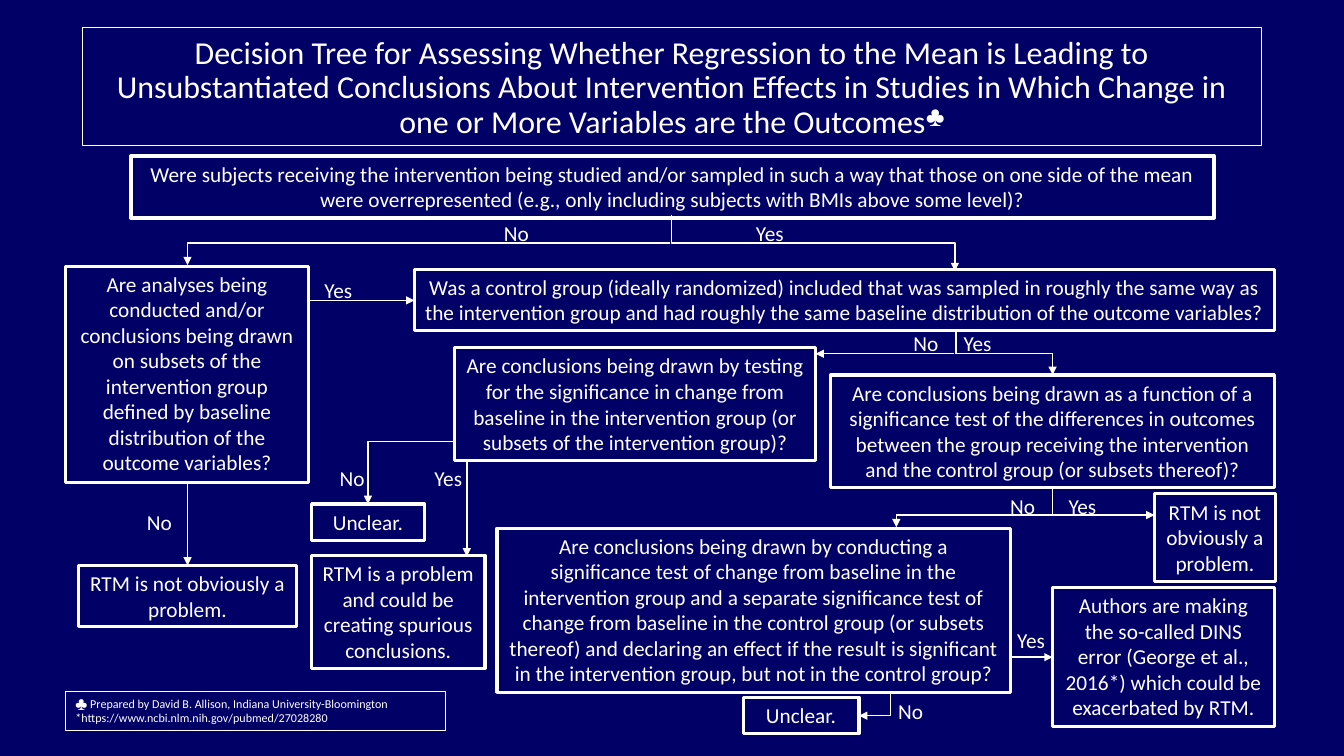
"""Build the decision tree slide on regression to the mean."""
from dataclasses import dataclass

from lxml.etree import SubElement
from pptx import Presentation
from pptx.dml.color import RGBColor
from pptx.enum.shapes import MSO_CONNECTOR as Link, MSO_SHAPE as Shape
from pptx.enum.text import MSO_ANCHOR as Anchor, MSO_AUTO_SIZE as AutoSize, PP_ALIGN as Align
from pptx.oxml.ns import qn
from pptx.util import Inches, Pt


@dataclass(frozen=True)
class Theme:
    navy: RGBColor = RGBColor(0x00, 0x00, 0x66)
    white: RGBColor = RGBColor(0xFF, 0xFF, 0xFF)
    font: str = "Calibri"
    title_size: float = 22.8
    body_size: float = 15.2
    note_size: float = 8.6
    thin: float = 0.75
    arrow: float = 1
    border: float = 2.25
    root_border: float = 3


THEME = Theme()


@dataclass(frozen=True)
class Box:
    left: float
    top: float
    width: float
    height: float
    text: str
    border: float = THEME.border
    size: float = THEME.body_size
    align: Align = Align.CENTER


@dataclass(frozen=True)
class Label:
    left: float
    top: float
    text: str


@dataclass(frozen=True)
class Arrow:
    start: tuple[float, float]
    end: tuple[float, float]
    preset: str = "line"
    down_first: bool = False
    weight: float = THEME.arrow
    head: bool = True


TITLE = ("Decision Tree for Assessing Whether Regression to the Mean is Leading to "
         "Unsubstantiated Conclusions About Intervention Effects in Studies in Which "
         "Change in one or More Variables are the Outcomes")
NOT_A_PROBLEM = "RTM is not obviously a problem."

BOXES = [
    Box(1.3, 1.55, 10.74, 0.61,
        "Were subjects receiving the intervention being studied and/or sampled in such a way "
        "that those on one side of the mean were overrepresented (e.g., only including "
        "subjects with BMIs above some level)?", THEME.root_border),
    Box(4.11, 2.67, 8.53, 0.61,
        "Was a control group (ideally randomized) included that was sampled in roughly the "
        "same way as the intervention group and had roughly the same baseline distribution "
        "of the outcome variables?"),
    Box(8.24, 3.72, 4.4, 1.12,
        "Are conclusions being drawn as a function of a significance test of the differences "
        "in outcomes between the group receiving the intervention and the control group "
        "(or subsets thereof)?"),
    Box(11.45, 4.9, 1.2, 0.87, NOT_A_PROBLEM),
    Box(4.93, 5.24, 5.09, 1.63,
        "Are conclusions being drawn by conducting a significance test of change from "
        "baseline in the intervention group and a separate significance test of change from "
        "baseline in the control group (or subsets thereof) and declaring an effect if the "
        "result is significant in the intervention group, but not in the control group?"),
    Box(10.44, 5.83, 2.2, 1.38,
        "Authors are making the so-called DINS error (George et al., 2016*) which could be "
        "exacerbated by RTM."),
    Box(4.51, 3.45, 3.58, 1.12,
        "Are conclusions being drawn by testing for the significance in change from baseline "
        "in the intervention group (or subsets of the intervention group)?"),
    Box(3.09, 5.51, 1.72, 1.12,
        "RTM is a problem and could be creating spurious conclusions."),
    Box(3.09, 5, 1.12, 0.36, "Unclear."),
    Box(7.37, 6.92, 1.15, 0.36, "Unclear."),
    Box(0.65, 2.64, 2.41, 2.15,
        "Are analyses being conducted and/or conclusions being drawn on subsets of the "
        "intervention group defined by baseline distribution of the outcome variables?"),
    Box(0.78, 5.61, 2.16, 0.61, NOT_A_PROBLEM),
    Box(0.65, 6.86, 3.77, 0.39,
        "♣ Prepared by David B. Allison, Indiana University-Bloomington\n"
        "*https://www.ncbi.nlm.nih.gov/pubmed/27028280",
        THEME.thin, THEME.note_size, Align.LEFT),
]

LABELS = [
    Label(4.9, 2.14, "No"), Label(7.4, 2.14, "Yes"),
    Label(3.12, 2.7, "Yes"), Label(1.36, 5, "No"),
    Label(8.96, 3.23, "No"), Label(9.46, 3.23, "Yes"),
    Label(3.27, 4.57, "No"), Label(4.21, 4.57, "Yes"),
    Label(9.92, 4.84, "No"), Label(10.5, 4.84, "Yes"),
    Label(9.99, 6.17, "Yes"), Label(8.81, 6.88, "No"),
]

ARROWS = [
    Arrow((6.66, 2.13), (9.47, 2.69), "bentConnector3", down_first=True),
    Arrow((6.65, 2.41), (1.86, 2.63), "bentConnector2"),
    Arrow((1.86, 4.78), (1.86, 5.61)),
    Arrow((3.06, 2.98), (4.11, 2.98)),
    Arrow((9.48, 3.28), (9.48, 3.51), weight=1.5, head=False),
    Arrow((9.46, 3.51), (8.09, 3.51)),
    Arrow((9.47, 3.51), (10.44, 3.72), "bentConnector2", weight=0.5),
    Arrow((4.51, 4.38), (3.65, 5), "bentConnector2"),
    Arrow((4.63, 4.58), (4.63, 5.52)),
    Arrow((10.44, 4.85), (11.45, 5.11), "bentConnector2", down_first=True),
    Arrow((10.44, 5.11), (8.89, 5.23), "bentConnector2"),
    Arrow((10.03, 6.52), (10.44, 6.52)),
    Arrow((9.14, 6.88), (8.52, 7.1), "bentConnector3"),
]


def write(frame, text: str, size: float, align: Align) -> None:
    """Fill a text frame with styled, wrapped text."""
    frame.word_wrap = True
    frame.text = text
    for para in frame.paragraphs:
        para.alignment = align
        for span in para.runs:
            span.font.name = THEME.font
            span.font.size = Pt(size)
            span.font.color.rgb = THEME.white


def outline(shape, weight: float) -> None:
    """Give a shape a white line."""
    shape.line.color.rgb = THEME.white
    shape.line.width = Pt(weight)


def add_title(slide) -> None:
    """Place the framed title with its raised club mark."""
    title = slide.shapes.title
    title.left, title.top = Inches(0.82), Inches(0.27)
    title.width, title.height = Inches(11.69), Inches(1.17)
    outline(title, THEME.thin)
    frame = title.text_frame
    frame.auto_size = AutoSize.NONE
    frame.vertical_anchor = Anchor.BOTTOM
    write(frame, TITLE, THEME.title_size, Align.CENTER)
    para = frame.paragraphs[0]
    para.line_spacing = 0.9
    mark = para.add_run()
    mark.text = "♣"
    mark.font.name = THEME.font
    mark.font.size = Pt(THEME.title_size)
    mark.font.color.rgb = THEME.white
    mark.font._element.set("baseline", "30000")


def add_box(slide, box: Box) -> None:
    """Draw one outlined box."""
    shape = slide.shapes.add_shape(Shape.RECTANGLE, Inches(box.left), Inches(box.top),
                                   Inches(box.width), Inches(box.height))
    shape.shadow.inherit = False
    shape.fill.background()
    outline(shape, box.border)
    shape.text_frame.auto_size = AutoSize.SHAPE_TO_FIT_TEXT
    shape.text_frame.vertical_anchor = Anchor.TOP
    write(shape.text_frame, box.text, box.size, box.align)


def add_label(slide, label: Label) -> None:
    """Place one branch answer."""
    shape = slide.shapes.add_textbox(Inches(label.left), Inches(label.top),
                                     Inches(0.6), Inches(0.36))
    write(shape.text_frame, label.text, THEME.body_size, Align.LEFT)


def add_arrow(slide, arrow: Arrow) -> None:
    """Draw one straight or elbow arrow; down_first runs right and down."""
    (x1, y1), (x2, y2) = arrow.start, arrow.end
    line = slide.shapes.add_connector(Link.ELBOW, Inches(x1), Inches(y1), Inches(x2), Inches(y2))
    outline(line, arrow.weight)
    props = line._element.spPr
    props.find(qn("a:prstGeom")).set("prst", arrow.preset)
    if arrow.down_first:
        across, down = x2 - x1, y2 - y1
        line.left, line.top = Inches((x1 + x2 - down) / 2), Inches((y1 + y2 - across) / 2)
        line.width, line.height = Inches(down), Inches(across)
        frame = props.find(qn("a:xfrm"))
        frame.set("rot", "16200000")
        frame.set("flipH", "1")
    if arrow.head:
        SubElement(props.find(qn("a:ln")), qn("a:tailEnd"), type="triangle")
    SubElement(props, qn("a:effectLst"))


def main() -> None:
    """Assemble and save the deck."""
    deck = Presentation()
    deck.slide_width, deck.slide_height = Inches(13.33), Inches(7.5)
    slide = deck.slides.add_slide(deck.slide_layouts[5])
    slide.background.fill.solid()
    slide.background.fill.fore_color.rgb = THEME.navy
    add_title(slide)
    for items, draw in ((BOXES, add_box), (LABELS, add_label), (ARROWS, add_arrow)):
        for item in items:
            draw(slide, item)
    deck.save("out.pptx")


if __name__ == "__main__":
    main()
